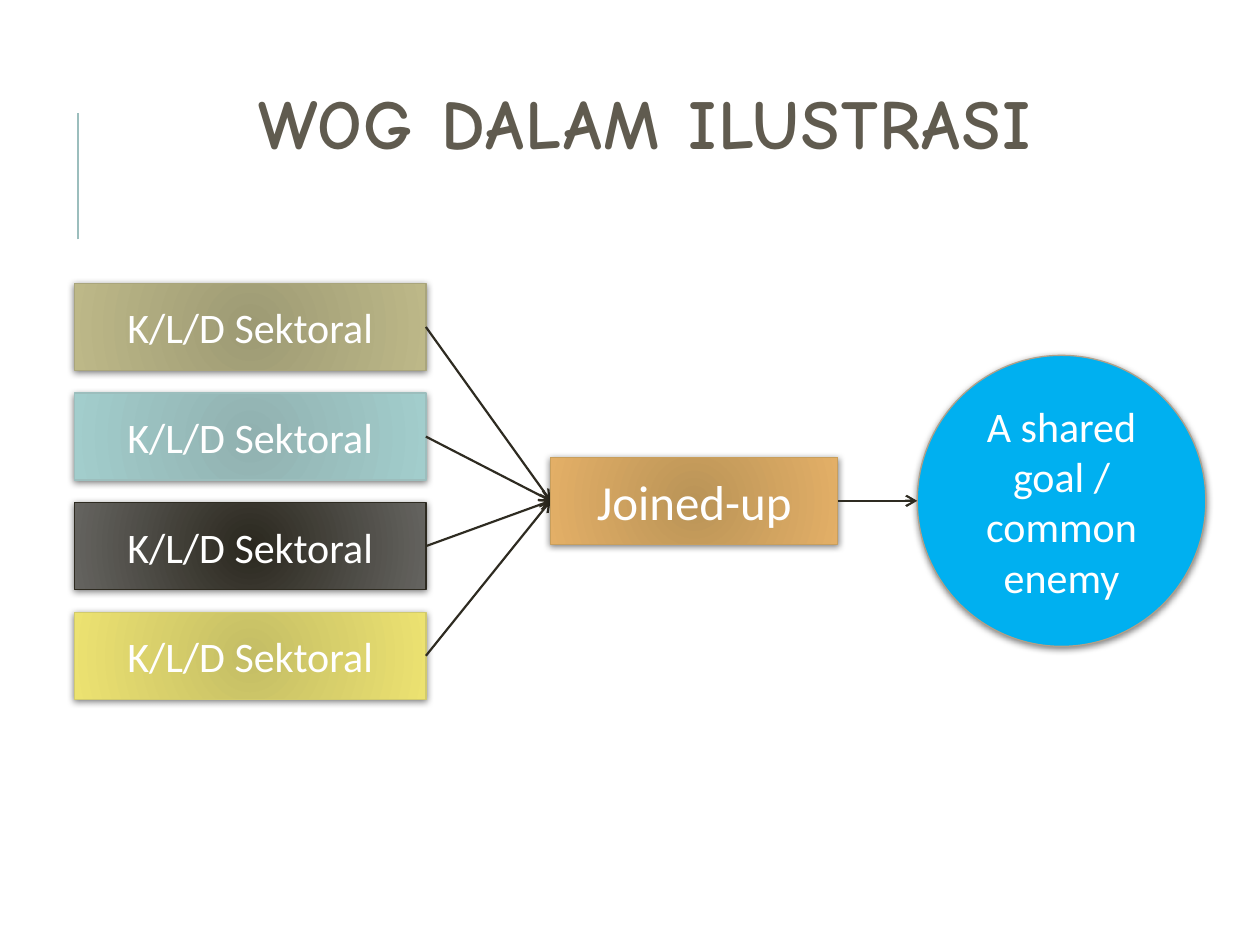
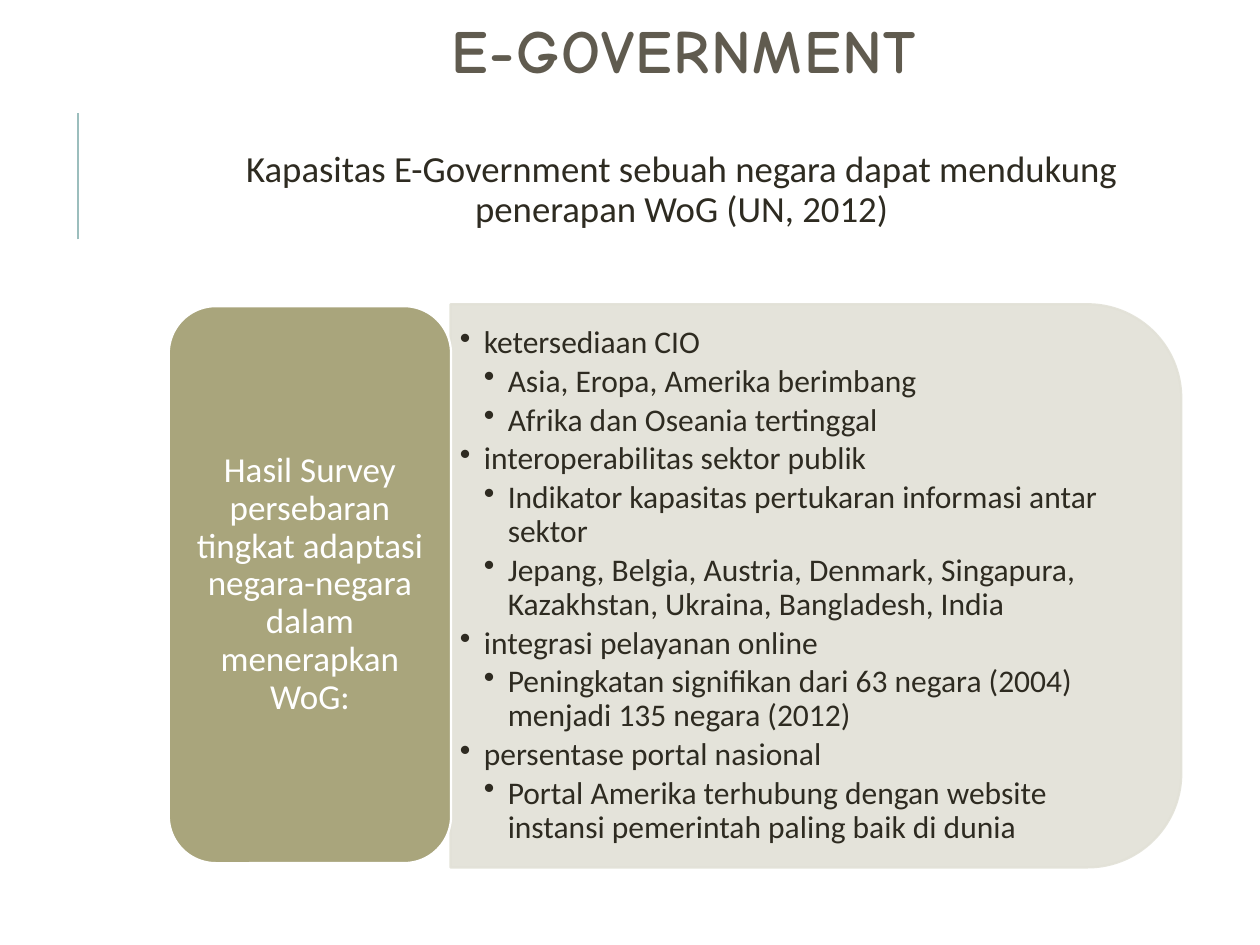
import lxml.etree
import pptx
import pptx.dml.color
import pptx.enum.shapes
import pptx.enum.text
import pptx.oxml.ns
import pptx.util

Inches = pptx.util.Inches
Pt = pptx.util.Pt
RGBColor = pptx.dml.color.RGBColor
Shape = pptx.enum.shapes.MSO_SHAPE
Align = pptx.enum.text.PP_ALIGN
Anchor = pptx.enum.text.MSO_ANCHOR
qn = pptx.oxml.ns.qn

WHITE = RGBColor(0xFF, 0xFF, 0xFF)
INK = RGBColor(0x2E, 0x2B, 0x21)
TITLE_BROWN = RGBColor(0x60, 0x5B, 0x4F)
TEAL = RGBColor(0x9C, 0xBE, 0xBD)
OLIVE = RGBColor(0xA9, 0xA5, 0x7C)
PALE_OLIVE = RGBColor(0xE2, 0xE1, 0xD7)
GOAL_BLUE = RGBColor(0x00, 0xB0, 0xF0)
GOAL_EDGE = RGBColor(0xB1, 0xA0, 0x89)
ORANGE = RGBColor(0xC8, 0x9F, 0x5D)
YELLOW = RGBColor(0xD2, 0xCB, 0x6C)

OLIVE_GLOW = (RGBColor(0x9D, 0x9A, 0x74), RGBColor(0xBD, 0xB8, 0x88))
TEAL_GLOW = (RGBColor(0x91, 0xB1, 0xB0), RGBColor(0xA2, 0xCD, 0xCC))
DARK_GLOW = (RGBColor(0x2B, 0x28, 0x1F), RGBColor(0x65, 0x64, 0x60))
YELLOW_GLOW = (RGBColor(0xC4, 0xBD, 0x65), RGBColor(0xEC, 0xE2, 0x71))
ORANGE_GLOW = (RGBColor(0xBA, 0x94, 0x57), RGBColor(0xE3, 0xAF, 0x67))

BODY_FONT = "Calibri"
TITLE_FORMAT = {"name": "Comic Neue", "bold": True}

ILLUSTRATION_TITLE = ("WOG DALAM ILUSTRASI", 40, (0.67, 0.72, 8.9, 0.61))
SECTOR_LABEL = "K/L/D Sektoral"
SECTOR_COLORS = [(OLIVE_GLOW, OLIVE), (TEAL_GLOW, TEAL), (DARK_GLOW, INK), (YELLOW_GLOW, YELLOW)]
SECTOR_LEFT, SECTOR_TOP, SECTOR_WIDTH, SECTOR_PITCH = 0.59, 2.25, 2.79, 0.87
BOX_HEIGHT = 0.69
JOINED_LABEL = "Joined-up"
JOINED_LEFT, JOINED_TOP, JOINED_WIDTH = 4.37, 3.63, 2.28
GOAL_LABEL = "A shared goal / common enemy"
GOAL_AREA = (7.28, 2.82, 2.29, 2.31)

EGOVERNMENT_TITLE = ("E-GOVERNMENT", 35, (0.98, 0.14, 8.9, 0.61))
INTRODUCTION = "Kapasitas E-Government sebuah negara dapat mendukung penerapan WoG (UN, 2012)"
INTRODUCTION_AREA = (1.25, 1.15, 8.32, 0.77)
SURVEY_LABEL = "Hasil Survey persebaran tingkat adaptasi negara-negara dalam menerapkan WoG:"
SURVEY_AREA = (1.34, 2.43, 2.24, 4.42)
SURVEY_PADDING = 0.11
FINDINGS_PANEL = (4.24, 1.75, 4.47, 5.8)
FINDINGS_AREA = (3.58, 2.63, 5.58, 4.04)
FINDINGS = [
    ("ketersediaan CIO", ["Asia, Eropa, Amerika berimbang", "Afrika dan Oseania tertinggal"]),
    ("interoperabilitas sektor publik", [
        "Indikator kapasitas pertukaran informasi antar sektor",
        "Jepang, Belgia, Austria, Denmark, Singapura, Kazakhstan, Ukraina, Bangladesh, India",
    ]),
    ("integrasi pelayanan online", ["Peningkatan signifikan dari 63 negara (2004) menjadi 135 negara (2012)"]),
    ("persentase portal nasional", [
        "Portal Amerika terhubung dengan website instansi pemerintah paling baik di dunia",
    ]),
]
BULLET_INDENT = 0.19


def set_values(target, values):
    for name, value in values.items():
        setattr(target, name, value)


def add_element(parent, tag, **attributes):
    return lxml.etree.SubElement(parent, qn(tag), attributes)


def place(shape, area):
    set_values(shape, dict(zip(("left", "top", "width", "height"), map(Inches, area))))


def set_frame(shape, anchor, side=0.1, edge=0.05):
    set_values(shape.text_frame, {
        "word_wrap": True, "auto_size": pptx.enum.text.MSO_AUTO_SIZE.NONE, "vertical_anchor": anchor,
        "margin_left": Inches(side), "margin_right": Inches(side),
        "margin_top": Inches(edge), "margin_bottom": Inches(edge),
    })


def write(paragraph, text, size, color, spacing=1.0, align=Align.CENTER, after=0, **font):
    set_values(paragraph, {
        "alignment": align, "line_spacing": spacing, "space_before": Pt(0), "space_after": Pt(after),
    })
    run = paragraph.add_run()
    run.text = text
    set_values(run.font, {"name": BODY_FONT, "size": Pt(size), **font})
    run.font.color.rgb = color
    return run


def add_line(slide, start, end, color, width):
    line = slide.shapes.add_connector(
        pptx.enum.shapes.MSO_CONNECTOR.STRAIGHT, *map(Inches, (*start, *end)))
    line.line.color.rgb = color
    line.line.width = Pt(width)
    add_element(line._element.spPr, "a:effectLst")
    return line


def add_arrow(slide, start, end):
    arrow = add_line(slide, start, end, INK, 1.25)
    add_element(arrow.line._get_or_add_ln(), "a:tailEnd", type="arrow")


def add_shape(slide, kind, area, fill, edge, width):
    shape = slide.shapes.add_shape(kind, *map(Inches, area))
    shape.shadow.inherit = False
    if isinstance(fill, RGBColor):
        shape.fill.solid()
        shape.fill.fore_color.rgb = fill
    else:
        shape.fill.gradient()
        for stop, color in zip(shape.fill.gradient_stops, fill):
            stop.color.rgb = color
        gradient = shape._element.spPr.find(qn("a:gradFill"))
        gradient.remove(gradient.find(qn("a:lin")))
        circle = add_element(gradient, "a:path", path="circle")
        add_element(circle, "a:fillToRect", **dict.fromkeys("ltrb", "100000"))
    shape.line.color.rgb = edge
    shape.line.width = Pt(width)
    return shape


def add_node(slide, kind, area, fill, edge, label, size):
    node = add_shape(slide, kind, area, fill, edge, 0.75)
    shadow = add_element(node._element.spPr.find(qn("a:effectLst")), "a:outerShdw",
                         blurRad=str(Pt(4)), dist=str(Pt(1)), dir="5400000", rotWithShape="0")
    add_element(add_element(shadow, "a:srgbClr", val="000000"), "a:alpha", val="50000")
    set_frame(node, Anchor.MIDDLE)
    write(node.text_frame.paragraphs[0], label, size, WHITE)


def add_slide(presentation, layout, title):
    text, size, area = title
    slide = presentation.slides.add_slide(presentation.slide_layouts.get_by_name(layout))
    add_line(slide, (0.62, 1.9), (0.62, 0.9), TEAL, 1.5)
    heading = slide.shapes.title
    place(heading, area)
    set_frame(heading, Anchor.MIDDLE)
    run = write(heading.text_frame.paragraphs[0], text, size, TITLE_BROWN, 0.8, **TITLE_FORMAT)
    run._r.get_or_add_rPr().set("spc", "100")
    return slide


def add_bullet(paragraph, text, level):
    paragraph.level = level
    properties = paragraph._p.get_or_add_pPr()
    properties.set("marL", str(Inches(BULLET_INDENT * (level + 1))))
    properties.set("indent", str(-Inches(BULLET_INDENT)))
    add_element(properties, "a:buChar", char="•")
    write(paragraph, text, 18, INK, 0.9, Align.LEFT, 2.7)


def build_illustration(presentation):
    slide = add_slide(presentation, "Title Only", ILLUSTRATION_TITLE)
    joined_middle = JOINED_TOP + BOX_HEIGHT / 2
    for index, (glow, edge) in enumerate(SECTOR_COLORS):
        top = SECTOR_TOP + index * SECTOR_PITCH
        add_node(slide, Shape.RECTANGLE, (SECTOR_LEFT, top, SECTOR_WIDTH, BOX_HEIGHT),
                 glow, edge, SECTOR_LABEL, 24)
        add_arrow(slide, (SECTOR_LEFT + SECTOR_WIDTH, top + BOX_HEIGHT / 2), (JOINED_LEFT, joined_middle))
    add_node(slide, Shape.RECTANGLE, (JOINED_LEFT, JOINED_TOP, JOINED_WIDTH, BOX_HEIGHT),
             ORANGE_GLOW, ORANGE, JOINED_LABEL, 28)
    add_node(slide, Shape.OVAL, GOAL_AREA, GOAL_BLUE, GOAL_EDGE, GOAL_LABEL, 24)
    add_arrow(slide, (JOINED_LEFT + JOINED_WIDTH, joined_middle), (GOAL_AREA[0], joined_middle))


def build_egovernment(presentation):
    slide = add_slide(presentation, "Title and Content", EGOVERNMENT_TITLE)
    introduction = slide.placeholders[1]
    place(introduction, INTRODUCTION_AREA)
    set_frame(introduction, Anchor.TOP, 0.05)
    paragraph = introduction.text_frame.paragraphs[0]
    properties = paragraph._p.get_or_add_pPr()
    set_values(properties, {"marL": 0, "indent": 0}) if hasattr(properties, "marL") else None
    properties.set("marL", "0")
    properties.set("indent", "0")
    add_element(properties, "a:buNone")
    write(paragraph, INTRODUCTION, 21, INK, 0.9, after=2)

    panel = add_shape(slide, Shape.ROUND_2_SAME_RECTANGLE, FINDINGS_PANEL, PALE_OLIVE, PALE_OLIVE, 1.25)
    panel.rotation = 90
    for color in panel._element.spPr.iter(qn("a:srgbClr")):
        add_element(color, "a:alpha", val="90000")

    findings = slide.shapes.add_textbox(*map(Inches, FINDINGS_AREA))
    set_frame(findings, Anchor.MIDDLE, 0.07, 0.04)
    lines = [line for topic, details in FINDINGS
             for line in [(topic, 0)] + [(detail, 1) for detail in details]]
    for index, (text, level) in enumerate(lines):
        frame = findings.text_frame
        add_bullet(frame.add_paragraph() if index else frame.paragraphs[0], text, level)

    survey = add_shape(slide, Shape.ROUNDED_RECTANGLE, SURVEY_AREA, OLIVE, WHITE, 1.25)
    set_frame(survey, Anchor.MIDDLE, SURVEY_PADDING - 0.03, 0.04)
    write(survey.text_frame.paragraphs[0], SURVEY_LABEL, 20, WHITE, 0.9, after=7)


def main():
    presentation = pptx.Presentation()
    set_values(presentation, {"slide_width": Inches(10), "slide_height": Inches(7.5)})
    build_illustration(presentation)
    build_egovernment(presentation)
    presentation.save("out.pptx")


if __name__ == "__main__":
    main()
